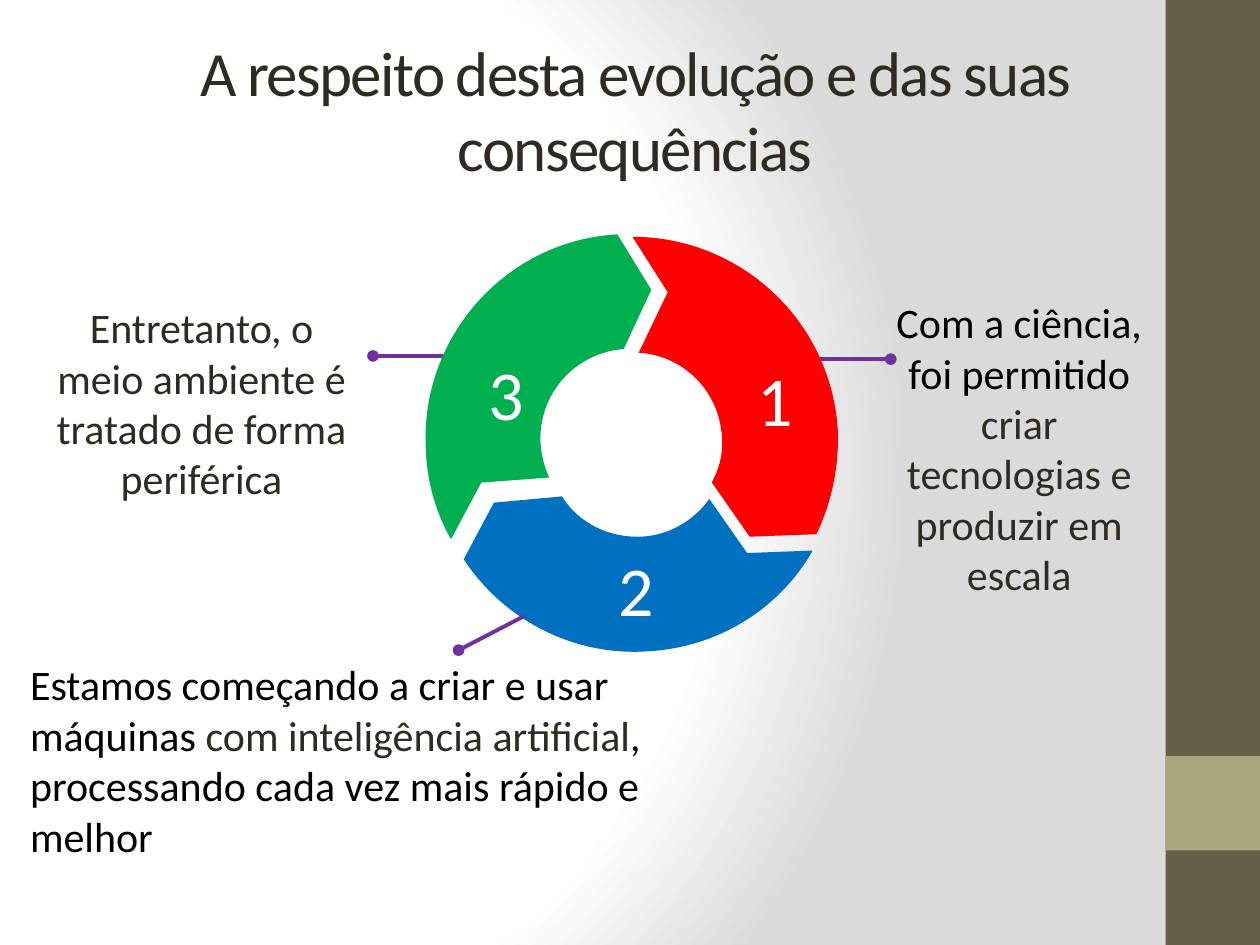
import math

import pptx
import pptx.dml.color
import pptx.enum.shapes
import pptx.enum.text
import pptx.oxml
import pptx.oxml.ns
import pptx.util

COLORS = {
    "white": "FFFFFF", "mist": "DADADA", "bark": "675E47", "sage": "A9A57C",
    "ink": "2F2B20", "black": "000000", "purple": "7030A0",
    "green": "00B050", "red": "FF0000", "blue": "0070C0",
}
DRAWING = pptx.oxml.ns.nsdecls("a")
ALIGN = pptx.enum.text.PP_ALIGN
ANCHOR = pptx.enum.text.MSO_ANCHOR
AUTO_SIZE = pptx.enum.text.MSO_AUTO_SIZE
COLUMNS, ROWS = 100, 75
RING_TILT = -3.2


class SlideBuilder:
    font = "Calibri"

    def __init__(self, presentation):
        self.cell_width = presentation.slide_width / COLUMNS
        self.cell_height = presentation.slide_height / ROWS
        self.slide = presentation.slides.add_slide(presentation.slide_layouts[6])
        self.shapes = self.slide.shapes

    def place(self, *lengths):
        return [round(length * (self.cell_height if index % 2 else self.cell_width))
                for index, length in enumerate(lengths)]

    def color(self, name):
        return pptx.dml.color.RGBColor.from_string(COLORS[name])

    def group(self):
        return self.shapes.add_group_shape().shapes

    def background(self, stops):
        self.slide.background.fill.solid()
        properties = self.slide.element.cSld.find(pptx.oxml.ns.qn("p:bg"))[0]
        stop_xml = "".join(
            f'<a:gs pos="{percent * 1000}"><a:srgbClr val="{COLORS[name]}"/></a:gs>'
            for percent, name in stops)
        gradient = pptx.oxml.parse_xml(
            f'<a:gradFill {DRAWING} rotWithShape="1"><a:gsLst>{stop_xml}</a:gsLst>'
            '<a:path path="circle"><a:fillToRect l="20000" t="50000" r="100000" b="50000"/>'
            '</a:path></a:gradFill>')
        properties.replace(properties[0], gradient)

    def paint(self, shape, color):
        shape.shadow.inherit = False
        shape.fill.solid()
        shape.fill.fore_color.rgb = self.color(color)
        shape.line.fill.background()

    def rectangle(self, box, color):
        kind = pptx.enum.shapes.MSO_SHAPE.RECTANGLE
        self.paint(self.shapes.add_shape(kind, *self.place(*box)), color)

    def ring_arrow(self, shapes, box, steps, color):
        left, top, width, height = self.place(*box)
        right, bottom = left + width, top + height
        builder = shapes.build_freeform(left, top)
        builder.add_line_segments([(right, top), (right, bottom), (left, bottom)], close=True)
        shape = builder.convert_to_shape()
        shape.rotation = RING_TILT % 360
        sine, cosine = math.sin(math.radians(-RING_TILT)), math.cos(math.radians(RING_TILT))

        def point_xml(x, y):
            x, y = self.place(x, y)
            x, y = x - left - width / 2, y - top - height / 2
            return (f'<a:pt x="{round(x * cosine - y * sine + width / 2)}" '
                    f'y="{round(x * sine + y * cosine + height / 2)}"/>')

        outline = shape._element.spPr.find(".//" + pptx.oxml.ns.qn("a:path"))
        for child in list(outline):
            outline.remove(child)
        for index, step in enumerate(steps):
            tag = "moveTo" if index == 0 else "lnTo" if len(step) == 2 else "cubicBezTo"
            points = "".join(point_xml(x, y) for x, y in zip(step[::2], step[1::2]))
            outline.append(pptx.oxml.parse_xml(f"<a:{tag} {DRAWING}>{points}</a:{tag}>"))
        outline.append(pptx.oxml.parse_xml(f"<a:close {DRAWING}/>"))
        self.paint(shape, color)

    def pointer(self, shapes, start, end):
        kind = pptx.enum.shapes.MSO_CONNECTOR.STRAIGHT
        connector = shapes.add_connector(kind, *self.place(*start, *end))
        connector.line.color.rgb = self.color("purple")
        connector.line.width = pptx.util.Pt(2.25)
        line = connector.line._get_or_add_ln()
        line.append(pptx.oxml.parse_xml(f'<a:headEnd {DRAWING} type="oval"/>'))
        connector._element.spPr.append(pptx.oxml.parse_xml(f"<a:effectLst {DRAWING}/>"))

    def text(self, box, runs, size, align=ALIGN.LEFT, wrap=True):
        frame = self.shapes.add_textbox(*self.place(*box)).text_frame
        frame.word_wrap = wrap
        frame.auto_size = AUTO_SIZE.SHAPE_TO_FIT_TEXT
        paragraph = frame.paragraphs[0]
        paragraph.alignment = align
        for content, color in runs:
            run = paragraph.add_run()
            run.text = content
            run.font.name = self.font
            run.font.size = pptx.util.Pt(size)
            run.font.color.rgb = self.color(color)
        return frame

    def title(self, box, content):
        frame = self.text(box, [(content, "ink")], 36, ALIGN.CENTER)
        frame.auto_size = AUTO_SIZE.NONE
        frame.vertical_anchor = ANCHOR.MIDDLE
        frame.margin_top = frame.margin_bottom = pptx.util.Inches(0.1)
        frame.paragraphs[0].runs[0].font._element.set("spc", "-100")


def main():
    presentation = pptx.Presentation()
    presentation.slide_width = pptx.util.Inches(10)
    presentation.slide_height = pptx.util.Inches(7.5)
    builder = SlideBuilder(presentation)

    builder.background([(0, "white"), (75, "white"), (100, "mist")])
    builder.rectangle((92.5, 0, 7.5, 75), "bark")
    builder.rectangle((92.5, 60, 7.5, 7.5), "sage")
    builder.title((5.1, 6, 90.6, 5.3), "A respeito desta evolução e das suas consequências")

    third = builder.group()
    builder.pointer(third, (29.6, 28.25), (35.9, 28.25))
    builder.ring_arrow(third, (33.5, 18.9, 18.7, 23.5), [
        (49, 18.6), (40.1, 19.1, 33.3, 26.8, 33.8, 35.7),
        (33.9, 38.3, 34.6, 40.7, 35.8, 42.8),
        (38.2, 38.3), (43.6, 37.9), (43.2, 37.1, 43, 36.2, 42.9, 35.2),
        (42.7, 31.3, 45.6, 28, 49.5, 27.7), (51.7, 23), (49, 18.6)], "green")

    first = builder.group()
    builder.pointer(first, (70.7, 28.5), (64.6, 28.5))
    builder.ring_arrow(first, (50.8, 18.3, 15.4, 24.4), [
        (50.2, 18.8), (53, 23.2), (50.7, 28), (54.2, 28.2, 57.1, 31, 57.3, 34.7),
        (57.4, 36, 57.1, 37.2, 56.5, 38.3), (59.5, 42.6), (64.8, 42.4),
        (66, 39.9, 66.6, 37.1, 66.5, 34.2), (66, 25.5, 58.8, 18.8, 50.2, 18.8)], "red")

    builder.ring_arrow(builder.shapes, (36.9, 39.1, 27.7, 12.7), [
        (44.6, 39.4), (39.2, 39.9), (36.8, 44.4), (39.9, 49.1, 45.4, 52.1, 51.4, 51.7),
        (57, 51.4, 61.9, 48.3, 64.5, 43.7), (59.3, 43.9), (56.3, 39.6),
        (55.1, 41.3, 53.1, 42.5, 50.9, 42.6), (48.3, 42.7, 45.9, 41.5, 44.6, 39.4)], "blue")

    builder.text((70.1, 23.05, 21.6, 25.2),
                 [("Com a ciência, foi permitido ", "black"),
                  ("criar tecnologias e produzir em escala", "ink")], 24, ALIGN.CENTER)
    for number, left, top in (("1", 59.1, 27.8), ("2", 48.1, 42.9), ("3", 37.8, 27.3)):
        builder.text((left, top, 4.1, 7.7), [(number, "white")], 40, wrap=False)
    builder.text((1.4, 51.8, 51.4, 13.1),
                 [("Estamos começando a criar e usar máquinas ", "black"),
                  ("com inteligência artificial", "ink"),
                  (", processando cada vez mais rápido e melhor", "black")], 24)
    builder.pointer(builder.shapes, (36.4, 51.6), (41.6, 48.9))
    builder.text((3.3, 23.45, 25.4, 13.1),
                 [("Entretanto, o meio ambiente é tratado de forma periférica", "ink")],
                 24, ALIGN.CENTER)

    presentation.save("out.pptx")


if __name__ == "__main__":
    main()
